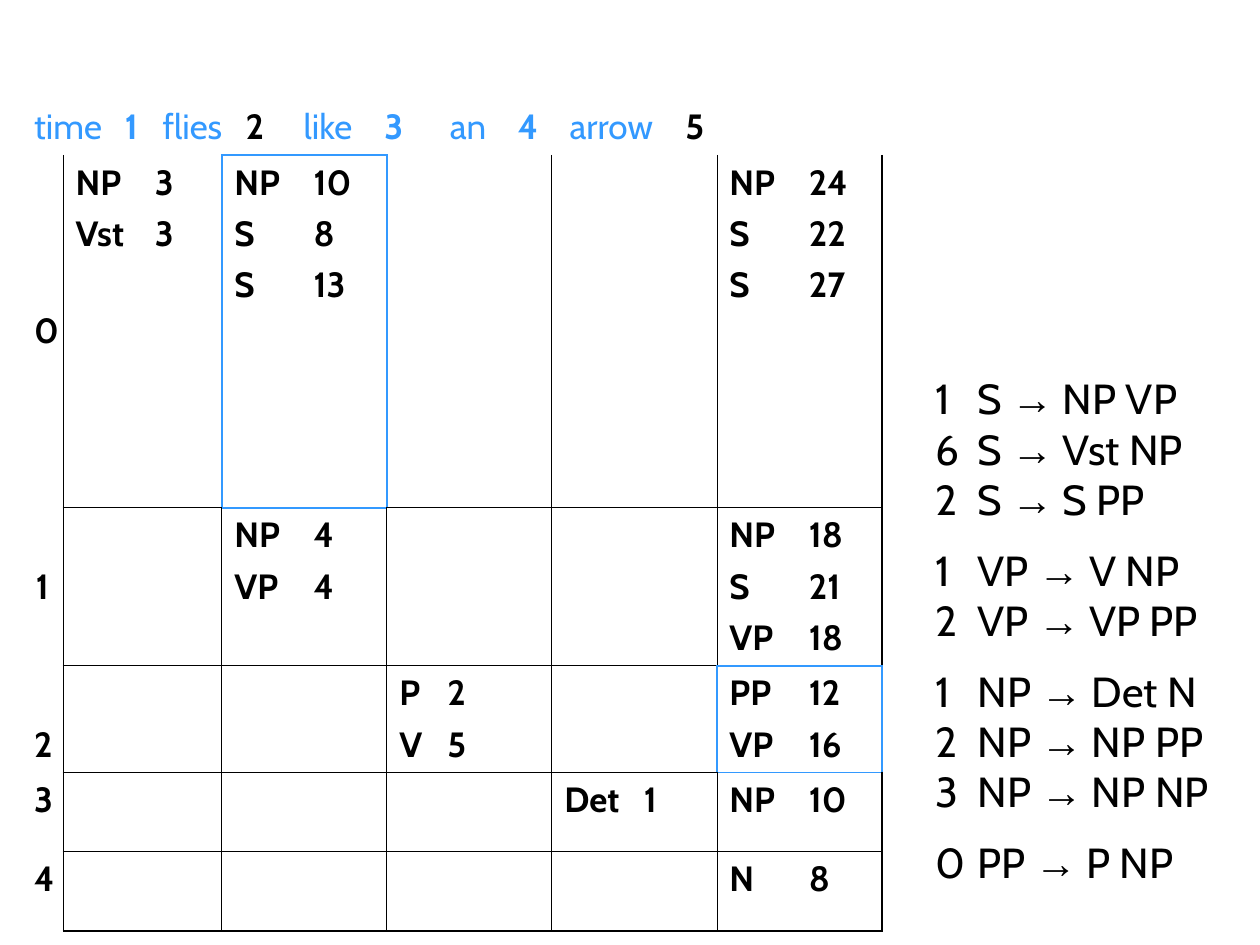
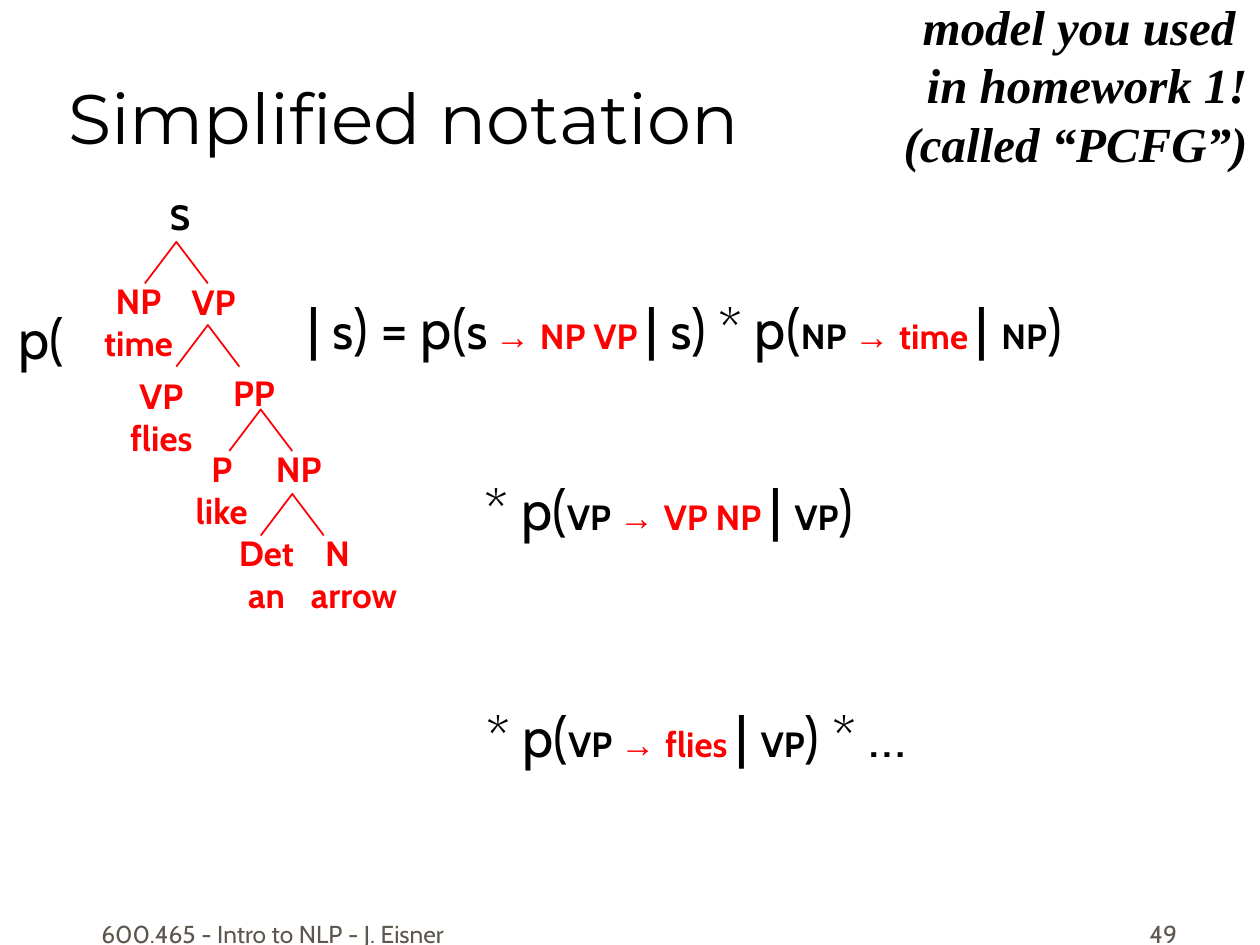
"""Build two parsing slides: a weighted chart with its grammar, and the notation for tree probabilities."""
import pptx
import pptx.util
import pptx.dml.color
import pptx.enum.text
import pptx.oxml.ns
import lxml.etree

Inches, Pt = pptx.util.Inches, pptx.util.Pt
qn, sub = pptx.oxml.ns.qn, lxml.etree.SubElement
HUES = {"black": "000000", "blue": "3399FF", "red": "FF0000", "brown": "5E574E"}
ALIGN = {"l": pptx.enum.text.PP_ALIGN.LEFT, "c": pptx.enum.text.PP_ALIGN.CENTER,
         "r": pptx.enum.text.PP_ALIGN.RIGHT}
ANCHOR = {"t": pptx.enum.text.MSO_ANCHOR.TOP, "m": pptx.enum.text.MSO_ANCHOR.MIDDLE,
          "b": pptx.enum.text.MSO_ANCHOR.BOTTOM}


def put(frame, lines, align="l", tabs=(), before=0, wide=(), **base):
    """Fill a text frame with lines; a line is a list of strings or (string, format) pairs."""
    for i, line in enumerate(lines):
        para = frame.paragraphs[0] if i == 0 else frame.add_paragraph()
        props = para._p.get_or_add_pPr()
        if tabs:
            stops = sub(props, qn("a:tabLst"))
            for pos in tabs:
                sub(stops, qn("a:tab"), pos=str(Inches(pos)), algn="l")
        para.alignment = ALIGN[align]
        para.space_before = Pt(before if i else 0)
        para.line_spacing = 1.4 if i in wide else 1.0
        for part in [line] if isinstance(line, str) else line:
            words, own = (part, {}) if isinstance(part, str) else part
            look = {"size": 20, "face": "Cabin", "hue": "black", "bold": False, "slant": False, **base, **own}
            run = para.add_run()
            run.text = words
            run.font.size = Pt(look["size"])
            run.font.name = look["face"]
            run.font.bold = look["bold"]
            run.font.italic = look["slant"]
            run.font.color.rgb = pptx.dml.color.RGBColor.from_string(HUES[look["hue"]])


def box(slide, area, lines, wrap=True, anchor="t", **form):
    """Add a text box and fill it."""
    frame = slide.shapes.add_textbox(*map(Inches, area)).text_frame
    frame.word_wrap = wrap
    frame.vertical_anchor = ANCHOR[anchor]
    put(frame, lines, **form)


deck = pptx.Presentation()
deck.slide_width, deck.slide_height = Inches(10), Inches(7.5)

chart = deck.slides.add_slide(deck.slide_layouts[6])
cols = [0.33, 1.26] + [1.31] * 4
rows = [0.43, 2.8, 1.24, 0.84, 0.63, 0.63]
grid = chart.shapes.add_table(len(rows), len(cols), Inches(0.17), Inches(0.79),
                              Inches(sum(cols)), Inches(sum(rows))).table
grid.first_row = grid.horz_banding = False
grid._tbl.tblPr.find(qn("a:tableStyleId")).text = "{2D5ABB26-0587-4C30-8999-92F81FD0307C}"
for col, width in zip(grid.columns, cols):
    col.width = Inches(width)
for row, height in zip(grid.rows, rows):
    row.height = Inches(height)
grid.cell(0, 0).merge(grid.cell(0, 5))

marked = {(1, 2), (3, 5)}
sides = {"L": (0, -1), "R": (0, 1), "T": (-1, 0), "B": (1, 0)}
for r in range(6):
    for c in range(6):
        cell = grid.cell(r, c)
        for side, (down, over) in sides.items():
            blue = r > 0 and bool(marked & {(r, c), (r + down, c + over)})
            outer = (side == "R" and c == 5) or (side == "B" and r == 5)
            bare = r == 0 or (c == 0 and side != "R") or (r == 1 and side == "T" and not blue)
            edge = sub(cell._tc.get_or_add_tcPr(), qn("a:ln" + side),
                       w=str(Pt(1.08 if blue or outer else 0.45)))
            if bare:
                sub(edge, qn("a:noFill"))
            else:
                sub(sub(edge, qn("a:solidFill")), qn("a:srgbClr"), val=HUES["blue" if blue else "black"])
        cell.fill.background()

dark, bright = {"hue": "black", "bold": True}, {"bold": True}
put(grid.cell(0, 0).text_frame,
    [["time\t", ("1\t", bright), "flies\t", ("2\t", dark), "like\t", ("3\t", bright),
      "an\t", ("4\t", bright), "arrow\t", ("5", dark)]],
    hue="blue", tabs=[0.72, 1.02, 1.68, 2.14, 2.78, 3.3, 3.84, 4.25, 5.17])
for r, anchor in enumerate("mmbtt", 1):
    label = grid.cell(r, 0)
    label.vertical_anchor = ANCHOR[anchor]
    put(label.text_frame, [str(r - 1)], align="c", bold=True)

items = {
    (1, 1): ["NP\t3", "Vst\t3"],
    (1, 2): ["NP\t10", "S\t8", "S\t13"],
    (1, 5): ["NP\t24", "S\t22", "S\t27"],
    (2, 2): ["NP\t4", "VP\t4"],
    (2, 5): ["NP\t18", "S\t21", "VP\t18"],
    (3, 3): ["P\t2", "V\t5"],
    (3, 5): ["PP\t12", "VP\t16"],
    (4, 4): ["Det\t1"],
    (4, 5): ["NP\t10"],
    (5, 5): ["N\t8"],
}
for spot, lines in items.items():
    put(grid.cell(*spot).text_frame, lines, bold=True, before=5, tabs=[0.38 if spot == (3, 3) else 0.63])

rules = [(1, "S", "NP VP"), (6, "S", "Vst NP"), (2, "S", "S PP"), (1, "VP", "V NP"), (2, "VP", "VP PP"),
         (1, "NP", "Det N"), (2, "NP", "NP PP"), (3, "NP", "NP NP"), (0, "PP", "P NP")]
box(chart, (7.33, 2.91, 2.67, 4.18),
    [[f"{cost}\t{head} ", ("→", {"face": "Arial"}), f" {tail}"] for cost, head, tail in rules],
    size=24, tabs=[0.33], wide=(3, 5, 8))

model = deck.slides.add_slide(deck.slide_layouts[5])
title = model.shapes.title
title.left, title.top, title.width, title.height = map(Inches, (0.44, 0.06, 8.5, 1.25))
title.text_frame.vertical_anchor = ANCHOR["b"]
put(title.text_frame, ["Simplified notation"], size=40, face="Montserrat")
for area, words, align in [((0.58, 7.08, 3.17, 0.5), "600.465 - Intro to NLP - J. Eisner", "c"),
                           ((7.36, 7.08, 2.08, 0.5), "49", "r")]:
    box(model, area, [words], anchor="b", align=align, size=14, hue="brown")

nodes = [
    (1.25, 1.5, 0.35, "S"), (0.68, 2.17, 0.84, "NP", "time"), (1.42, 2.18, 0.55, "VP"),
    (0.89, 2.92, 0.78, "VP", "flies"), (1.74, 2.9, 0.55, "PP"), (1.41, 3.5, 0.7, "P", "like"),
    (2.07, 3.5, 0.6, "NP"), (1.77, 4.17, 0.69, "Det", "an"), (2.48, 4.17, 0.4, "N"),
    (2.36, 4.5, 0.9, "arrow"),
]
for left, top, width, *words in nodes:
    box(model, (left, top, width, 0.11 + 0.33 * len(words)), words, wrap=False,
        align="c", bold=True, hue="black" if words == ["S"] else "red")

for x, y in [(2.32, 3.92), (2.07, 3.25), (1.65, 2.58), (1.4, 1.92)]:
    pen = model.shapes.build_freeform(Inches(x - 0.25), Inches(y + 0.33))
    pen.add_line_segments([(Inches(x), Inches(y)), (Inches(x + 0.25), Inches(y + 0.33))], close=False)
    fork = pen.convert_to_shape()
    fork.shadow.inherit = False
    fork.fill.background()
    fork.line.color.rgb = pptx.dml.color.RGBColor.from_string(HUES["red"])
    fork.line.width = Pt(1)

small = {"size": 20, "bold": True}
red = {**small, "hue": "red"}
arrow = {**red, "face": "Arial"}
terms = [[(head + " ", small), ("→ ", arrow), (tail + " ", red), "| ", (head, small)]
         for head, tail in [("S", "NP VP"), ("NP", "time"), ("VP", "VP NP"), ("VP", "flies")]]
box(model, (0.03, 2.36, 0.6, 0.64), ["p("], wrap=False, align="c", size=32)
for area, line in [
    ((2.34, 2.28, 7.08, 0.64), ["| ", ("S", small), ") = p(", *terms[0], ") * p(", *terms[1], ")"]),
    ((3.75, 3.72, 3.56, 0.64), ["* p(", *terms[2], ")"]),
    ((3.76, 5.52, 4.02, 0.64), ["* p(", *terms[3], ") * …"]),
]:
    box(model, area, [line], size=32)
box(model, (7.07, -0.08, 2.93, 1.5), ["model you used ", "in homework 1!", "(called “PCFG”)"],
    wrap=False, align="r", size=28, face="Times New Roman", bold=True, slant=True)

deck.save("out.pptx")
